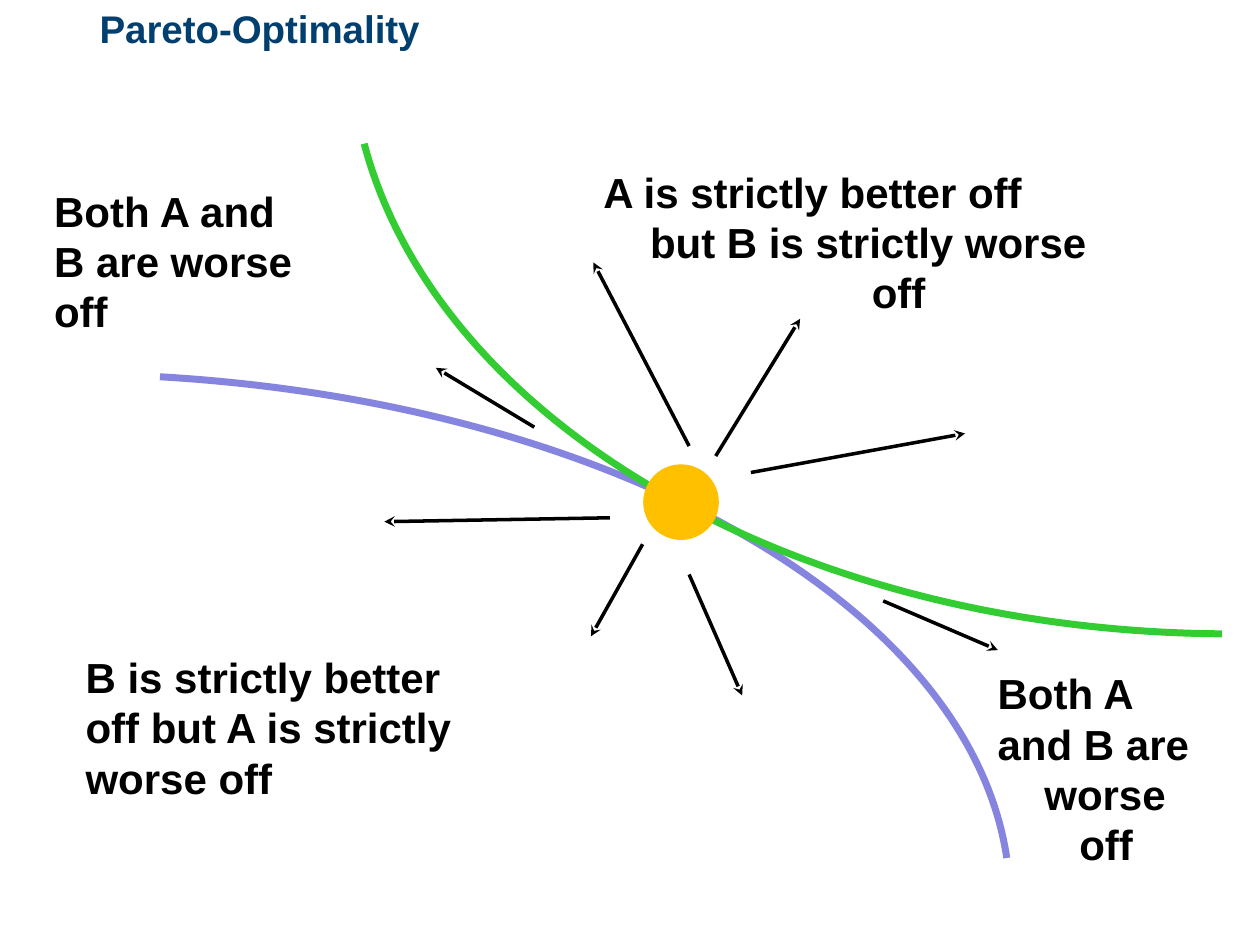
from dataclasses import dataclass

from lxml import etree
from pptx import Presentation
from pptx.dml.color import RGBColor
from pptx.enum.shapes import MSO_CONNECTOR, MSO_SHAPE
from pptx.enum.text import MSO_ANCHOR, MSO_AUTO_SIZE, PP_ALIGN
from pptx.oxml.ns import qn
from pptx.util import Pt

STRAIGHT = MSO_CONNECTOR.STRAIGHT
OVAL = MSO_SHAPE.OVAL
TOP = MSO_ANCHOR.TOP
LEFT = PP_ALIGN.LEFT
NO_AUTOFIT = MSO_AUTO_SIZE.NONE


@dataclass(frozen=True)
class Theme:
    font: str = "Arial"
    title_size: int = 22
    label_size: int = 24
    title: RGBColor = RGBColor(0x00, 0x3F, 0x6E)
    ink: RGBColor = RGBColor(0x00, 0x00, 0x00)
    curve_a: RGBColor = RGBColor(0x85, 0x85, 0xE0)
    curve_b: RGBColor = RGBColor(0x33, 0xCC, 0x33)
    optimum: RGBColor = RGBColor(0xFF, 0xC0, 0x00)


theme = Theme()


def style(paragraph, size, color):
    paragraph.alignment = LEFT
    paragraph.font.name = theme.font
    paragraph.font.size = Pt(size)
    paragraph.font.bold = True
    paragraph.font.color.rgb = color


def set_frame(frame, side, vertical):
    frame.margin_left = frame.margin_right = Pt(side)
    frame.margin_top = frame.margin_bottom = Pt(vertical)
    frame.vertical_anchor = TOP
    frame.auto_size = NO_AUTOFIT
    frame.word_wrap = True


prs = Presentation()
prs.slide_width, prs.slide_height = Pt(720), Pt(540)
slide = prs.slides.add_slide(prs.slide_layouts[5])
shapes = slide.shapes

heading = shapes.title
heading.left, heading.top, heading.width, heading.height = Pt(56.9), Pt(2.9), Pt(468), Pt(66.2)
heading.text_frame.text = "Pareto-Optimality"
set_frame(heading.text_frame, 0, 0)
style(heading.text_frame.paragraphs[0], theme.title_size, theme.title)

indifference_curves = [
    (theme.curve_a, [(91.4, 215.3), (349.9, 230.4), (553.7, 345.6), (575.3, 490.3)]),
    (theme.curve_b, [(698.4, 362.2), (456.5, 360.7), (250.6, 242.6), (208.1, 82.1)]),
]
for color, (start, *controls) in indifference_curves:
    builder = shapes.build_freeform(Pt(start[0]), Pt(start[1]))
    builder.add_line_segments([(Pt(x), Pt(y)) for x, y in controls], close=False)
    curve = builder.convert_to_shape()
    curve.shadow.inherit = False
    curve.fill.background()
    curve.line.color.rgb = color
    curve.line.width = Pt(4)
    outline = next(curve._element.iter(qn("a:path")))
    bezier = etree.SubElement(outline, qn("a:cubicBezTo"))
    for segment in outline.findall(qn("a:lnTo")):
        bezier.append(segment[0])
        outline.remove(segment)
    etree.SubElement(curve.line._get_or_add_ln(), qn("a:round"))

optimum = shapes.add_shape(OVAL, Pt(367.9), Pt(265.7), Pt(42.5), Pt(42.5))
optimum.shadow.inherit = False
optimum.fill.solid()
optimum.fill.fore_color.rgb = theme.optimum
optimum.line.color.rgb = theme.optimum
optimum.line.width = Pt(0.75)

moves = [
    (393.8, 254.9, 339.1, 150),
    (409, 260.6, 457.2, 182.2),
    (429.1, 270, 551.5, 247.7),
    (348.5, 295.9, 219.6, 298.1),
    (367.2, 311, 337.7, 363.6),
    (393.8, 328.3, 424.1, 397.4),
    (504.7, 343.4, 570.2, 371.5),
    (305.3, 244.1, 249.1, 210.2),
]
for ends in moves:
    arrow = shapes.add_connector(STRAIGHT, *(Pt(value) for value in ends))
    arrow.line.color.rgb = theme.ink
    arrow.line.width = Pt(2)
    etree.SubElement(arrow.line._get_or_add_ln(), qn("a:tailEnd"), type="stealth")
    etree.SubElement(arrow._element.spPr, qn("a:effectLst"))

outcomes = [
    (337.7, 91.4, 297, 94.3, [
        ("A is strictly better off", 0),
        ("but B is strictly worse", 26.7),
        ("off", 153.4),
    ]),
    (41.8, 368.6, 229.4, 94.3, [("B is strictly better\voff but A is strictly\vworse off", 0)]),
    (563, 378, 129.3, 123.8, [("Both A\vand B are", 0), ("worse", 26.7), ("off", 46.7)]),
    (23.8, 102.2, 156, 94.3, [("Both A and\vB are worse\voff", 0)]),
]
for left, top, width, height, lines in outcomes:
    outcome = shapes.add_textbox(Pt(left), Pt(top), Pt(width), Pt(height)).text_frame
    set_frame(outcome, 7.2, 3.6)
    for index, (text, indent) in enumerate(lines):
        paragraph = outcome.add_paragraph() if index else outcome.paragraphs[0]
        paragraph.text = text
        paragraph._p.get_or_add_pPr().set("marL", str(Pt(indent)))
        style(paragraph, theme.label_size, theme.ink)

prs.save("out.pptx")
